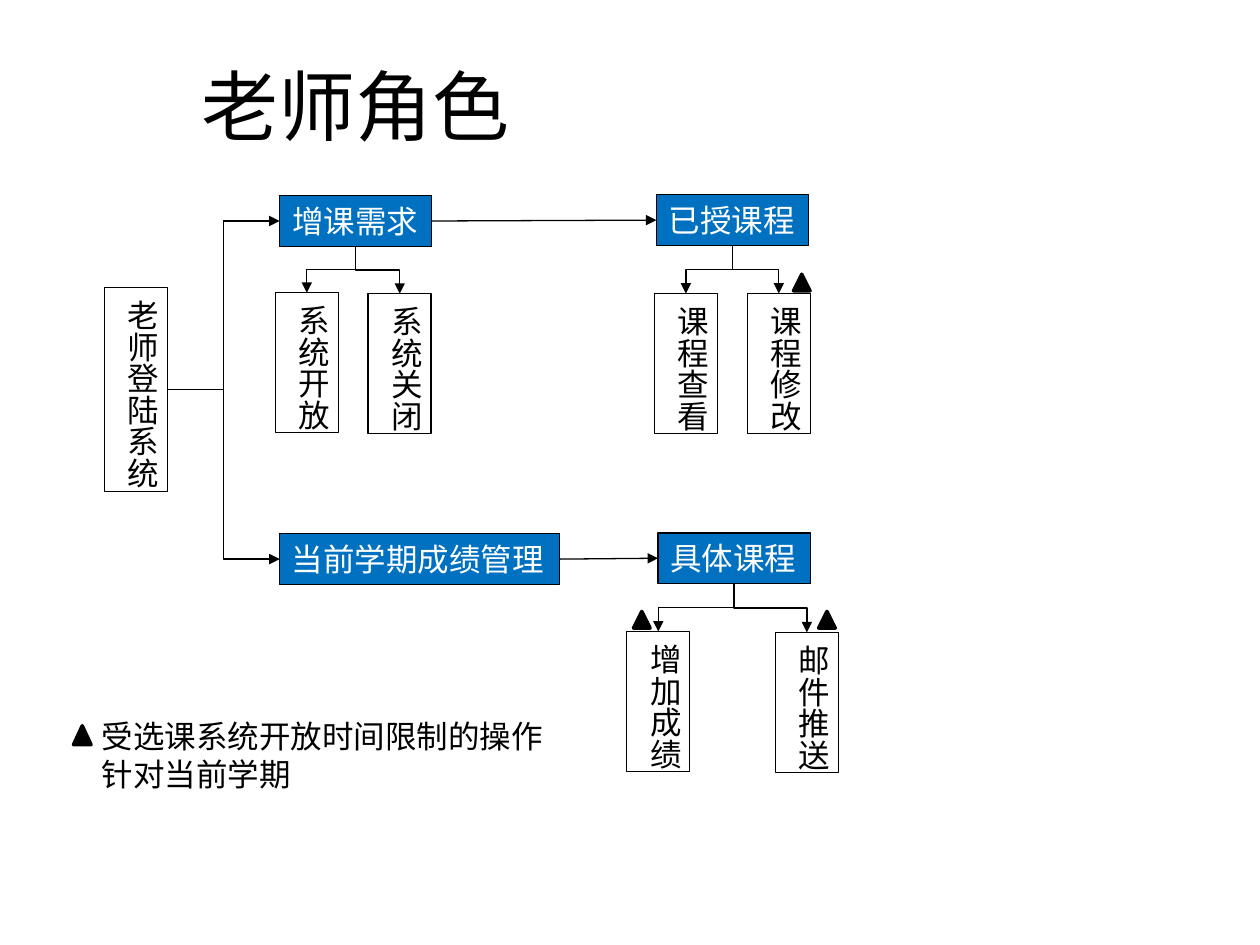
import pptx
import pptx.dml.color
import pptx.enum.shapes
import pptx.enum.text
import pptx.oxml
import pptx.oxml.ns
import pptx.util
from lxml import etree

Pt = pptx.util.Pt
Shapes = pptx.enum.shapes.MSO_SHAPE
Connectors = pptx.enum.shapes.MSO_CONNECTOR
TOP, LEFT, BOTTOM, RIGHT = range(4)


def color(value):
    return pptx.dml.color.RGBColor.from_string(value)


class FlowSlide:
    font = "Calibri"
    ink = "000000"
    accent = "0070C0"
    paper = "FFFFFF"
    text_size = 18

    def __init__(self, slide):
        self.slide = slide

    def set_text(self, frame, lines, ink, size=text_size):
        frame.text = "\n".join(lines)
        for paragraph in frame.paragraphs:
            paragraph.font.name = self.font
            paragraph.font.size = Pt(size)
            paragraph.font.color.rgb = color(ink)

    def title(self, text, left, top, width, height):
        heading = self.slide.shapes.title
        heading.left, heading.top = Pt(left), Pt(top)
        heading.width, heading.height = Pt(width), Pt(height)
        self.set_text(heading.text_frame, [text], self.ink, 44)
        heading.text_frame.vertical_anchor = pptx.enum.text.MSO_ANCHOR.MIDDLE
        heading.text_frame.paragraphs[0].alignment = pptx.enum.text.PP_ALIGN.CENTER

    def note(self, lines, left, top, width, height):
        note = self.slide.shapes.add_textbox(Pt(left), Pt(top), Pt(width), Pt(height))
        note.text_frame.word_wrap = False
        self.set_text(note.text_frame, lines, self.ink)

    def outlined(self, preset, left, top, width, height, line_width):
        shape = self.slide.shapes.add_shape(
            preset, Pt(left), Pt(top), Pt(width), Pt(height))
        shape.shadow.inherit = False
        shape.line.color.rgb = color(self.ink)
        shape.line.width = Pt(line_width)
        return shape

    def box(self, text, left, top, width, height):
        box = self.outlined(Shapes.RECTANGLE, left, top, width, height, 0.75)
        frame = box.text_frame
        self.set_text(frame, [text], self.ink)
        frame.word_wrap = False
        frame.auto_size = pptx.enum.text.MSO_AUTO_SIZE.SHAPE_TO_FIT_TEXT
        frame.vertical_anchor = pptx.enum.text.MSO_ANCHOR.TOP
        frame.paragraphs[0].alignment = pptx.enum.text.PP_ALIGN.LEFT
        box.fill.background()
        return box

    def page(self, text, left, top, width=87):
        page = self.box(text, left, top, width, 29)
        page.fill.solid()
        page.fill.fore_color.rgb = color(self.accent)
        page.text_frame.paragraphs[0].font.color.rgb = color(self.paper)
        return page

    def vertical(self, text, left, top, height=80):
        step = self.box(text, left, top, 36, height)
        step.text_frame._txBody.bodyPr.set("vert", "eaVert")
        return step

    def mark(self, left, top, width=9.5, height=9.5):
        mark = self.outlined(Shapes.ISOSCELES_TRIANGLE, left, top, width, height, 2)
        mark.fill.solid()
        mark.fill.fore_color.rgb = color(self.ink)

    def arrow(self, source, target, kind=Connectors.STRAIGHT, sites=(RIGHT, LEFT)):
        arrow = self.slide.shapes.add_connector(kind, 0, 0, 0, 0)
        arrow.begin_connect(source, sites[0])
        arrow.end_connect(target, sites[1])
        arrow.line.color.rgb = color(self.ink)
        arrow.line.width = Pt(0.75)
        tail = etree.SubElement(
            arrow.line._get_or_add_ln(), pptx.oxml.ns.qn("a:tailEnd"))
        tail.set("type", "triangle")
        etree.SubElement(arrow._element.spPr, pptx.oxml.ns.qn("a:effectLst"))
        return arrow

    def drop(self, source, target):
        arrow = self.arrow(source, target, Connectors.ELBOW, (BOTTOM, TOP))
        across = arrow.end_x - arrow.begin_x
        down = arrow.end_y - arrow.begin_y
        center_x = (arrow.begin_x + arrow.end_x) // 2
        center_y = (arrow.begin_y + arrow.end_y) // 2
        half_width = down // 2 if across < 0 else -down // 2
        half_height = abs(across) // 2
        arrow.begin_x, arrow.end_x = center_x - half_width, center_x + half_width
        arrow.begin_y, arrow.end_y = center_y - half_height, center_y + half_height
        arrow._element.spPr.xfrm.set("rot", str((90 if across < 0 else 270) * 60000))


def main():
    deck = pptx.Presentation()
    deck.slide_width, deck.slide_height = Pt(720), Pt(540)
    flow = FlowSlide(deck.slides.add_slide(deck.slide_layouts[5]))

    flow.title("老师角色", 2, 15, 402.5, 90)
    flow.note(["受选课系统开放时间限制的操作", "针对当前学期"], 51, 406, 269, 51)
    flow.mark(42, 414.7, 10, 10.8)

    login = flow.vertical("老师登陆系统", 59.8, 164.2, 116.6)
    add_course = flow.page("增课需求", 159.8, 111.8)
    taught = flow.page("已授课程", 375.1, 111.3)
    grades = flow.page("当前学期成绩管理", 159.8, 305, 160)
    course = flow.page("具体课程", 376, 304.5)

    for entry, detail in ((add_course, taught), (grades, course)):
        flow.arrow(login, entry, Connectors.ELBOW)
        flow.arrow(entry, detail)

    operations = [
        (add_course, "系统开放", 157.3, 167.3),
        (add_course, "系统关闭", 210.4, 167.8),
        (taught, "课程查看", 373.9, 167.8),
        (taught, "课程修改", 427, 167.8),
        (course, "增加成绩", 358.2, 360.9),
        (course, "邮件推送", 443.1, 361.4),
    ]
    for parent, text, left, top in operations:
        flow.drop(parent, flow.vertical(text, left, top))

    for left, top in ((453.4, 156.7), (467.8, 349.4), (362, 349.4)):
        flow.mark(left, top)

    deck.save("out.pptx")


if __name__ == "__main__":
    main()
